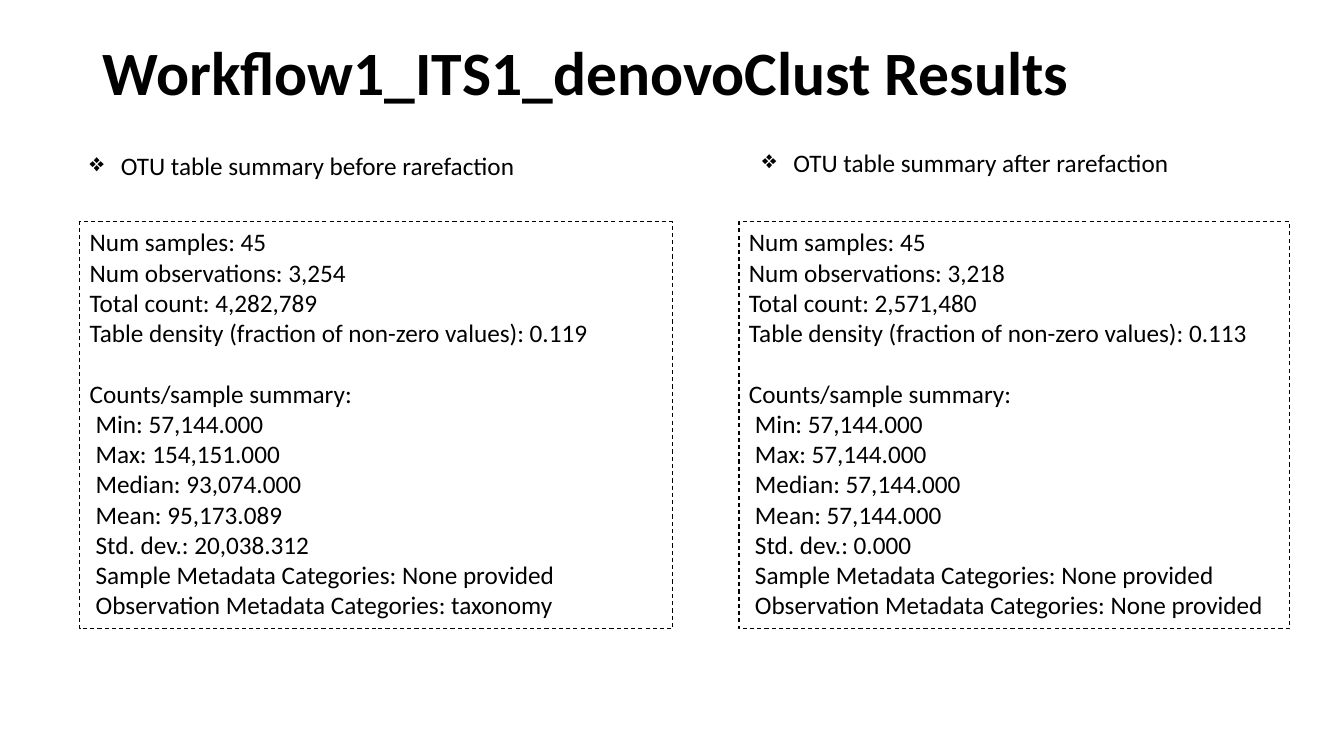
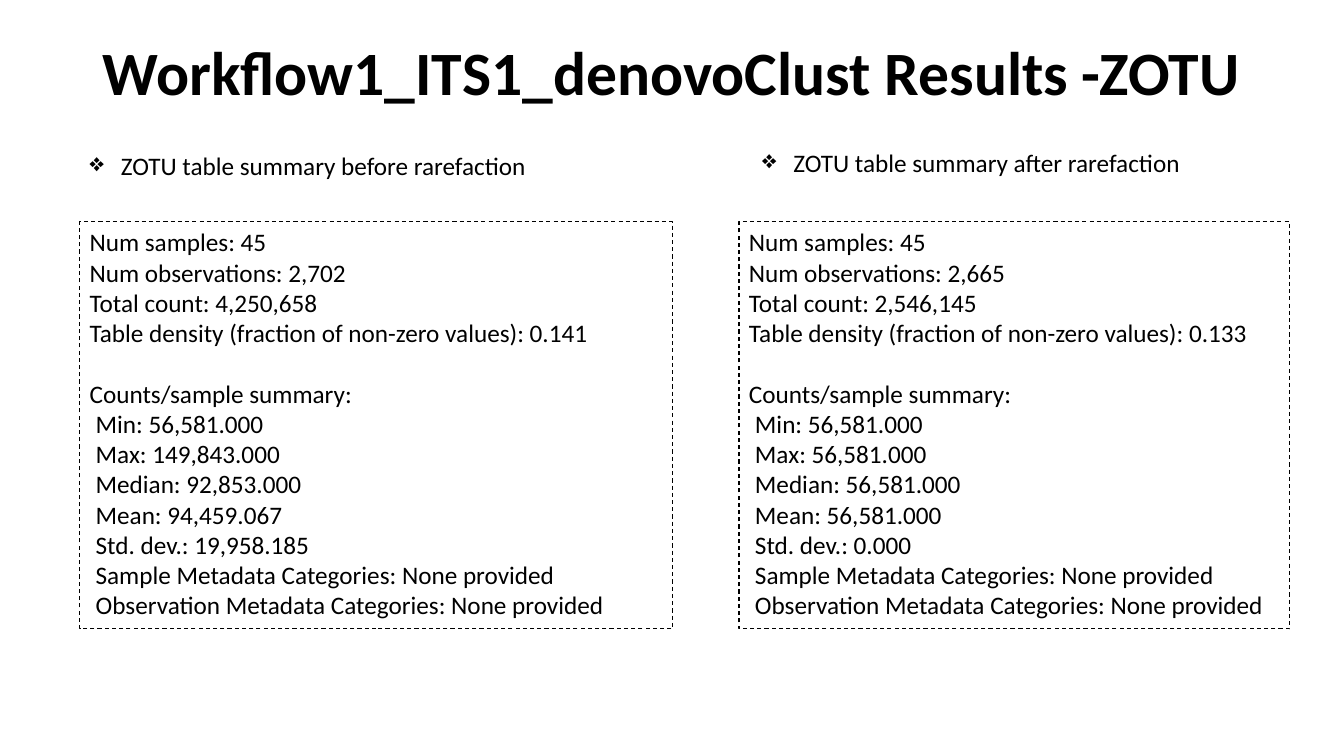
from lxml.etree import SubElement
from pptx import Presentation
from pptx.dml.color import RGBColor
from pptx.enum.dml import MSO_LINE
from pptx.enum.shapes import MSO_SHAPE
from pptx.enum.text import MSO_ANCHOR, MSO_AUTO_SIZE, PP_ALIGN
from pptx.oxml.ns import qn
from pptx.util import Emu, Pt

COLORS = {"ink": "000000", "paper": "FFFFFF"}
FONT = "Calibri"
TITLE_SIZE, BODY_SIZE, LINE_HEIGHT = 44, 18, 21.6
PX = 9144
TITLE_AREA = (92, 40, 1150, 70)
COLUMNS = [
    {"heading": (79, 144, 472, 41), "panel": (79, 220, 588, 404)},
    {"heading": (746, 141, 472, 41), "panel": (733, 220, 546, 404)},
]
HEADING_INDENT, COUNT_INDENT = 31, 6

TOTAL_LABELS = ["Num samples", "Num observations", "Total count",
                "Table density (fraction of non-zero values)"]
COUNT_TITLE = "Counts/sample summary:"
COUNT_LABELS = ["Min", "Max", "Median", "Mean", "Std. dev.",
                "Sample Metadata Categories", "Observation Metadata Categories"]

SLIDES = [
    ("Workflow1_ITS1_denovoClust Results", [
        ("OTU table summary before rarefaction",
         ["45", "3,254", "4,282,789", "0.119"],
         ["57,144.000", "154,151.000", "93,074.000", "95,173.089", "20,038.312",
          "None provided", "taxonomy"]),
        ("OTU table summary after rarefaction",
         ["45", "3,218", "2,571,480", "0.113"],
         ["57,144.000", "57,144.000", "57,144.000", "57,144.000", "0.000",
          "None provided", "None provided"]),
    ]),
    ("Workflow1_ITS1_denovoClust Results -ZOTU", [
        ("ZOTU table summary before rarefaction",
         ["45", "2,702", "4,250,658", "0.141"],
         ["56,581.000", "149,843.000", "92,853.000", "94,459.067", "19,958.185",
          "None provided", "None provided"]),
        ("ZOTU table summary after rarefaction",
         ["45", "2,665", "2,546,145", "0.133"],
         ["56,581.000", "56,581.000", "56,581.000", "56,581.000", "0.000",
          "None provided", "None provided"]),
    ]),
]


def px(*lengths):
    return [Emu(length * PX) for length in lengths]


def color(name):
    return RGBColor.from_string(COLORS[name])


def write_lines(box, lines, size=BODY_SIZE, bold=False):
    frame = box.text_frame
    frame.word_wrap = True
    frame.text = "\n".join(lines)
    for para in frame.paragraphs:
        para.alignment = PP_ALIGN.LEFT
        para.font.name = FONT
        para.font.size = Pt(size)
        para.font.bold = bold
        para.font.color.rgb = color("ink")
    return frame


def indent(para, left):
    properties = para._p.get_or_add_pPr()
    properties.set("marL", str(left * PX))
    return properties


def add_title(page, title):
    box = page.shapes.add_textbox(*px(*TITLE_AREA))
    frame = write_lines(box, [title], TITLE_SIZE, True)
    frame.vertical_anchor = MSO_ANCHOR.MIDDLE
    frame.paragraphs[0].line_spacing = 0.9


def add_heading(page, area, heading):
    box = page.shapes.add_textbox(*px(*area))
    frame = write_lines(box, [heading])
    properties = indent(frame.paragraphs[0], HEADING_INDENT)
    properties.set("indent", str(-HEADING_INDENT * PX))
    SubElement(properties, qn("a:buChar")).set("char", "❖")


def add_panel(page, area, totals, counts):
    panel = page.shapes.add_shape(MSO_SHAPE.RECTANGLE, *px(*area))
    panel.shadow.inherit = False
    panel.fill.background()
    panel.line.color.rgb = color("ink")
    panel.line.width = Pt(0.75)
    panel.line.dash_style = MSO_LINE.DASH
    total_lines = [f"{label}: {value}" for label, value in zip(TOTAL_LABELS, totals)]
    count_lines = [f"{label}: {value}" for label, value in zip(COUNT_LABELS, counts)]
    frame = write_lines(panel, total_lines + [COUNT_TITLE] + count_lines)
    frame.vertical_anchor = MSO_ANCHOR.TOP
    frame.auto_size = MSO_AUTO_SIZE.SHAPE_TO_FIT_TEXT
    count_title, *count_paras = frame.paragraphs[len(total_lines):]
    count_title.space_before = Pt(LINE_HEIGHT)
    for para in count_paras:
        indent(para, COUNT_INDENT)


def main():
    deck = Presentation()
    deck.slide_width, deck.slide_height = px(1333, 750)
    background = deck.slide_master.background.fill
    background.solid()
    background.fore_color.rgb = color("paper")
    for title, summaries in SLIDES:
        page = deck.slides.add_slide(deck.slide_layouts[6])
        add_title(page, title)
        for column, (heading, totals, counts) in zip(COLUMNS, summaries):
            add_heading(page, column["heading"], heading)
            add_panel(page, column["panel"], totals, counts)
    deck.save("out.pptx")


if __name__ == "__main__":
    main()
